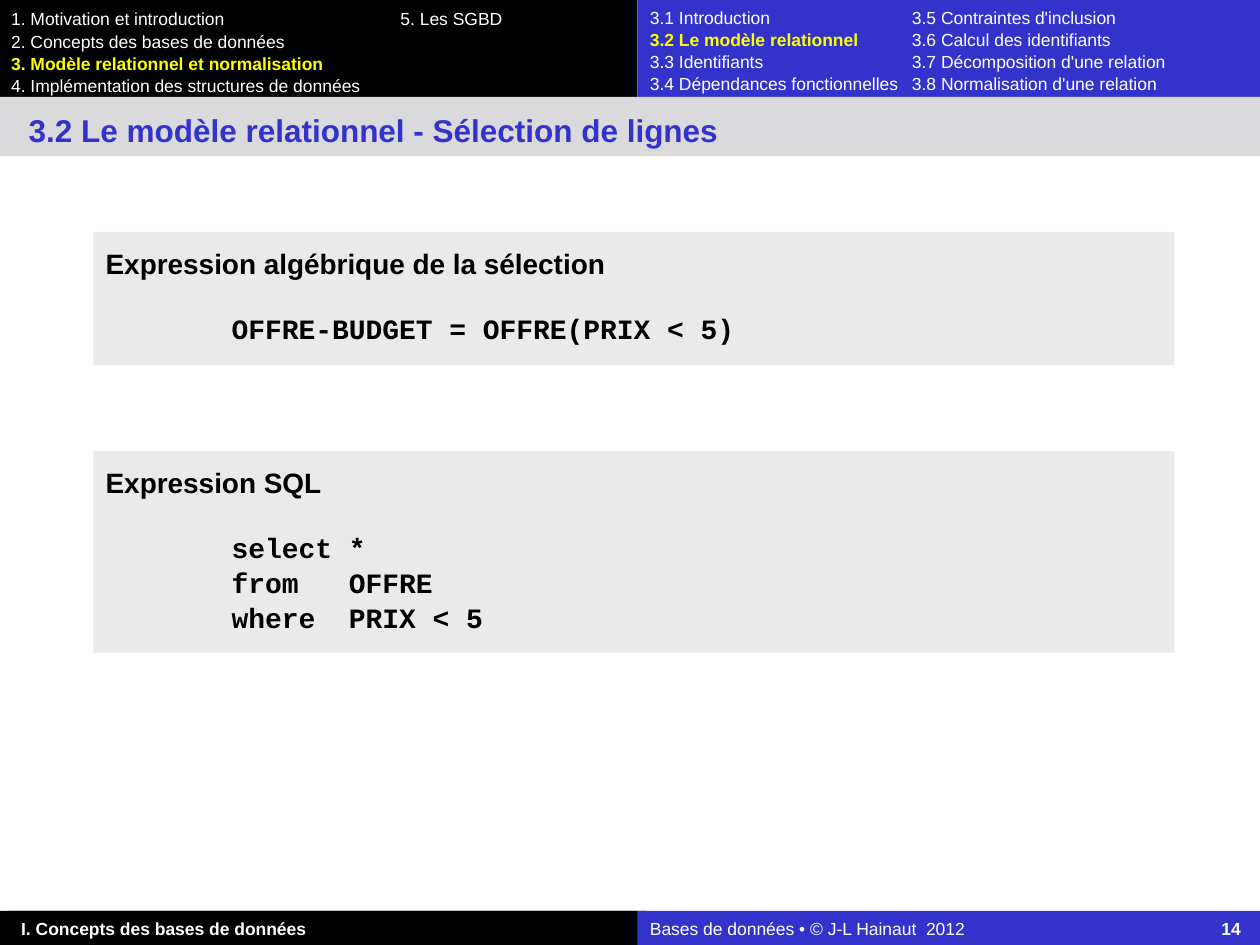
"""Build the slide on row selection in the relational model."""
from lxml.etree import SubElement
from pptx import Presentation
from pptx.dml.color import RGBColor
from pptx.enum.shapes import MSO_SHAPE
from pptx.enum.text import MSO_ANCHOR, PP_ALIGN
from pptx.oxml.ns import qn
from pptx.util import Inches, Pt

BLACK = RGBColor(0x00, 0x00, 0x00)
WHITE = RGBColor(0xFF, 0xFF, 0xFF)
BLUE = RGBColor(0x33, 0x33, 0xCC)
YELLOW = RGBColor(0xFF, 0xFF, 0x00)
TITLE_GREY = RGBColor(0xDA, 0xDA, 0xDC)
PANEL_GREY = RGBColor(0xEA, 0xEA, 0xEA)

COLUMNS, ROWS = 100, 75
CELL = Inches(0.1)
SPLIT, RIGHT = 50.6, 49.4
HEADER, FOOTER = 7.7, 2.7
FOOTER_TOP = ROWS - FOOTER

CHAPTERS = [
    "1. Motivation et introduction\t5. Les SGBD",
    "2. Concepts des bases de données",
    "3. Modèle relationnel et normalisation",
    "4. Implémentation des structures de données",
]
SECTIONS = [
    "3.1 Introduction\t3.5 Contraintes d'inclusion",
    "3.2 Le modèle relationnel\t3.6 Calcul des identifiants",
    "3.3 Identifiants\t3.7 Décomposition d'une relation",
    "3.4 Dépendances fonctionnelles\t3.8 Normalisation d'une relation",
]
PANELS = [
    (18.4, 10.6, "Expression algébrique de la sélection",
     ["OFFRE-BUDGET = OFFRE(PRIX < 5)"]),
    (35.8, 16, "Expression SQL",
     ["select *", "from   OFFRE", "where  PRIX < 5"]),
]


def cells(*lengths):
    """Turn grid cells into slide lengths."""
    return [round(length * CELL) for length in lengths]


def add_band(s, box, color):
    """Add a plain filled rectangle."""
    sp = s.shapes.add_shape(MSO_SHAPE.RECTANGLE, *cells(*box))
    sp.shadow.inherit = False
    sp.fill.solid()
    sp.fill.fore_color.rgb = color
    sp.line.fill.background()
    return sp


def prepare_frame(sp, top=0.05, bottom=0.05):
    """Set wrapping, anchor and insets of a shape's text."""
    tf = sp.text_frame
    tf.word_wrap = True
    tf.vertical_anchor = MSO_ANCHOR.TOP
    tf.margin_left = tf.margin_right = Inches(0.1)
    tf.margin_top, tf.margin_bottom = Inches(top), Inches(bottom)
    return tf


def add_frame(s, box):
    """Add a text box and return its text frame."""
    return prepare_frame(s.shapes.add_textbox(*cells(*box)))


def set_tab(p, position, align):
    """Give a paragraph one tab stop, in inches."""
    tabs = SubElement(p._p.get_or_add_pPr(), qn("a:tabLst"))
    SubElement(tabs, qn("a:tab"), pos=str(Inches(position)), algn=align)


def write(tf, lines, size=10, color=WHITE, bold=False, font="Arial", tab=None,
          tab_align="l", active=None, active_color=YELLOW, indent=0, before=0):
    """Append lines, with the active entry in bold and its own colour."""
    for index, line in enumerate(lines):
        p = tf.paragraphs[0]
        if p.runs:
            p = tf.add_paragraph()
        p.alignment = PP_ALIGN.LEFT
        p.line_spacing = 1.05
        if before and index == 0:
            p.space_before = Pt(before)
        if indent:
            p._p.get_or_add_pPr().set("marL", str(Inches(indent)))
        if tab:
            set_tab(p, tab, tab_align)
        for column, entry in enumerate(line.split("\t")):
            r = p.add_run()
            r.text = "\t" + entry if column else entry
            r.font.name, r.font.size = font, Pt(size)
            r.font.bold = bold or entry == active
            r.font.color.rgb = active_color if entry == active else color


def add_panel(s, top, height, heading, code):
    """Add a grey panel with a heading above indented code."""
    sp = add_band(s, (7.4, top, 85.8, height), PANEL_GREY)
    tf = prepare_frame(sp, top=0.1, bottom=0.2)
    write(tf, [heading], size=16, color=BLACK, bold=True)
    write(tf, code, size=16, color=BLACK, bold=True, font="Courier New",
          indent=1, before=17)


def add_header(s):
    """Add the chapter and section menus."""
    add_band(s, (0, 0, SPLIT, HEADER), BLACK)
    add_band(s, (SPLIT, 0, RIGHT, HEADER), BLUE)
    write(add_frame(s, (-0.1, 0.1, SPLIT, HEADER)), CHAPTERS, tab=3.09,
          active="3. Modèle relationnel et normalisation")
    write(add_frame(s, (SPLIT, 0, RIGHT, HEADER)), SECTIONS, tab=2.08,
          active="3.2 Le modèle relationnel")


def add_title(s):
    """Add the title on its grey band."""
    add_band(s, (0, HEADER, COLUMNS, 4.7), TITLE_GREY)
    write(add_frame(s, (1.3, 8.2, 93.3, 4)),
          ["3.2 Le modèle relationnel - Sélection de lignes"],
          size=18, color=BLUE, bold=True)


def add_footer(s):
    """Add the part name, the copyright line and the page number."""
    add_band(s, (0, FOOTER_TOP, SPLIT, FOOTER), BLACK)
    part = add_band(s, (0.7, FOOTER_TOP, SPLIT, FOOTER), BLACK)
    write(prepare_frame(part), ["I. Concepts des bases de données"], bold=True)
    credit = add_band(s, (SPLIT, FOOTER_TOP, RIGHT, FOOTER), BLUE)
    write(prepare_frame(credit), ["Bases de données • © J-L Hainaut  2012\t14"],
          tab=4.69, tab_align="r", active="14", active_color=WHITE)


def main():
    """Build and save the slide."""
    prs = Presentation()
    prs.slide_width, prs.slide_height = cells(COLUMNS, ROWS)
    s = prs.slides.add_slide(prs.slide_layouts[6])
    add_footer(s)
    add_header(s)
    add_title(s)
    for panel in PANELS:
        add_panel(s, *panel)
    prs.save("out.pptx")


if __name__ == "__main__":
    main()
